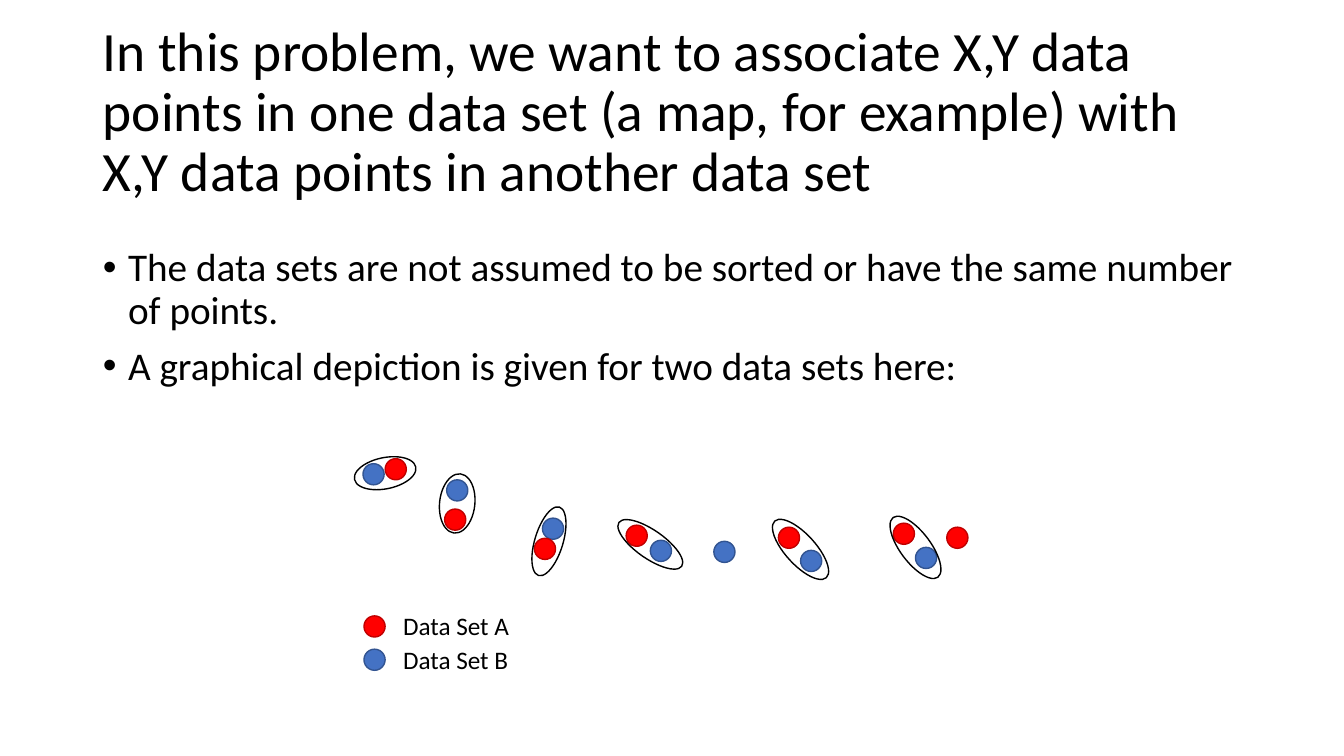
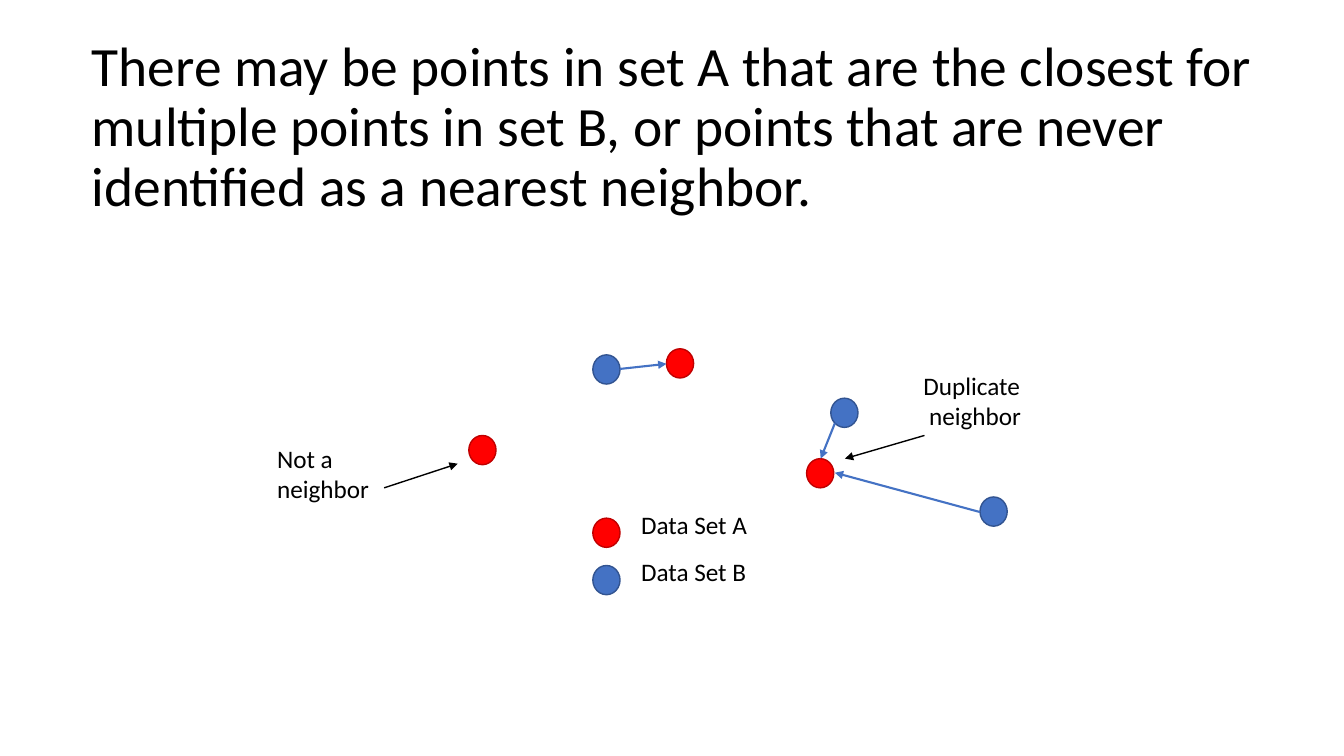
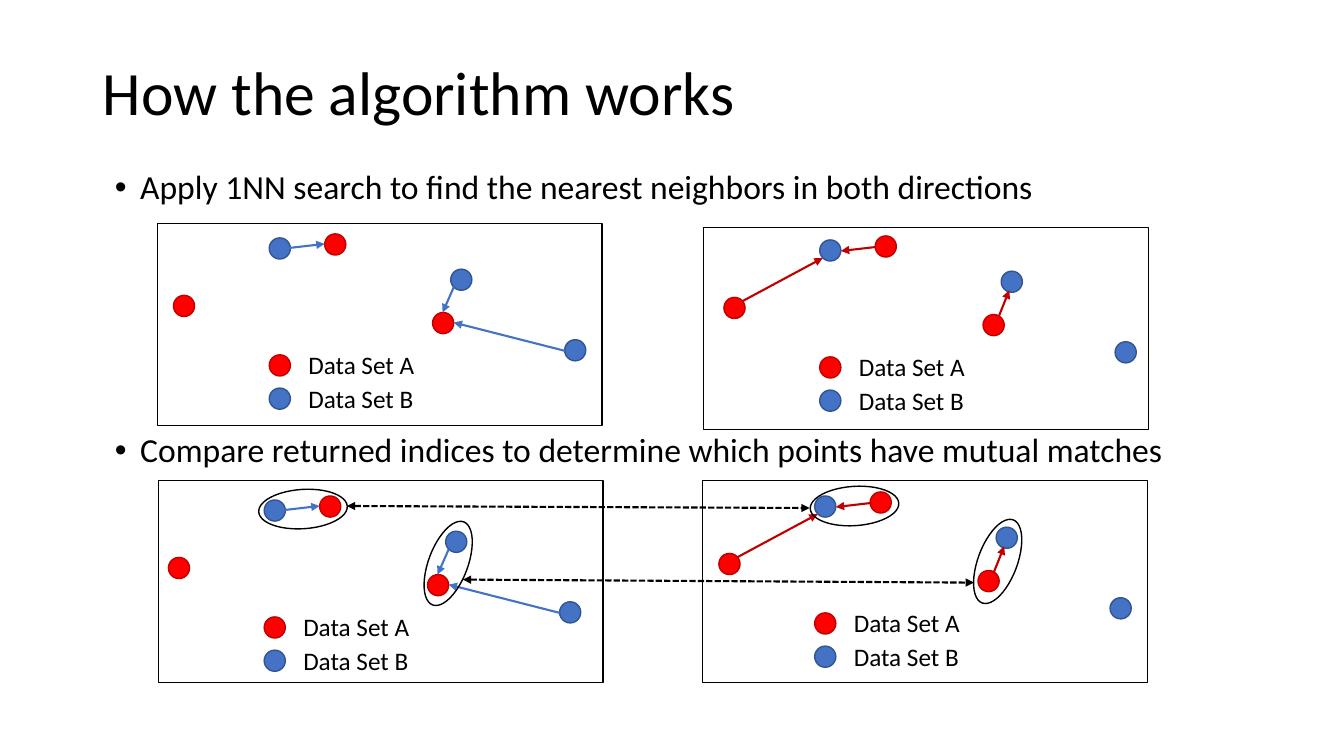
import pptx
import pptx.dml.color
import pptx.enum.dml
import pptx.enum.shapes
import pptx.enum.text
import pptx.oxml.ns
import pptx.oxml.xmlchemy
import pptx.util

RGB = pptx.dml.color.RGBColor
BLACK = RGB(0x00, 0x00, 0x00)
WHITE = RGB(0xFF, 0xFF, 0xFF)
RED = RGB(0xFF, 0x00, 0x00)
DARK_RED = RGB(0xC0, 0x00, 0x00)
BLUE = RGB(0x44, 0x72, 0xC4)
DARK_BLUE = RGB(0x32, 0x54, 0x91)

SHAPES = pptx.enum.shapes.MSO_SHAPE
PX = 9144  # EMU in a px, 100 px to the inch
SET_COLORS = {"A": (RED, DARK_RED), "B": (BLUE, DARK_BLUE)}


def emu(*lengths):
    return [pptx.util.Emu(length * PX) for length in lengths]


class Deck:
    """Holds the style and the slide being drawn."""

    font_name = "Calibri"
    text_size = 18

    def __init__(self):
        self.presentation = pptx.Presentation()
        self.presentation.slide_width, self.presentation.slide_height = emu(1333, 750)
        self.slide = None
        self.dot_size = (21, 21)

    def new_slide(self, title, box, size, has_body=False, dot_size=(21, 21)):
        layout = self.presentation.slide_layouts[1 if has_body else 5]
        self.slide = self.presentation.slides.add_slide(layout)
        self.dot_size = dot_size
        self.fill_placeholder(self.slide.shapes.title, box, [title], size)

    def style(self, paragraph, size):
        paragraph.font.name = self.font_name
        paragraph.font.size = pptx.util.Pt(size)
        paragraph.font.color.rgb = BLACK
        paragraph.alignment = pptx.enum.text.PP_ALIGN.LEFT

    def fill_placeholder(self, holder, box, lines, size):
        holder.left, holder.top, holder.width, holder.height = emu(*box)
        frame = holder.text_frame
        frame.text = "\n".join(lines)
        frame.auto_size = pptx.enum.text.MSO_AUTO_SIZE.NONE
        for paragraph in frame.paragraphs:
            self.style(paragraph, size)
            paragraph.line_spacing = 0.9
            paragraph.space_before = pptx.util.Pt(0)
        return frame.paragraphs

    def bullets(self, box, lines, size, margin, gap):
        body = self.slide.placeholders[1]
        for index, paragraph in enumerate(self.fill_placeholder(body, box, lines, size)):
            paragraph.space_before = pptx.util.Pt(gap if index else 0)
            left, indent = emu(margin, -25)
            properties = paragraph._p.get_or_add_pPr()
            properties.set("marL", str(left))
            properties.set("indent", str(indent))

    def text(self, left, top, width, height, words):
        frame = self.slide.shapes.add_textbox(*emu(left, top, width, height)).text_frame
        frame.word_wrap = True
        frame.text = words
        for paragraph in frame.paragraphs:
            self.style(paragraph, self.text_size)

    def shape(self, kind, box, fill, line, rotation=0):
        shape = self.slide.shapes.add_shape(kind, *emu(*box))
        shape.shadow.inherit = False
        shape.rotation = rotation
        if fill is None:
            shape.fill.background()
        else:
            shape.fill.solid()
            shape.fill.fore_color.rgb = fill
        shape.line.color.rgb = line
        shape.line.width = pptx.util.Pt(1)

    def dots(self, set_name, places, origin=(0, 0)):
        for x, y in places:
            box = (origin[0] + x, origin[1] + y, *self.dot_size)
            self.shape(SHAPES.OVAL, box, *SET_COLORS[set_name])

    def ring(self, box, rotation):
        """Outlines a pair of matched points."""
        self.shape(SHAPES.OVAL, box, None, BLACK, rotation)

    def arrow(self, start, end, color, width=1.5, two_way=False, origin=(0, 0)):
        x, y = origin
        connector = self.slide.shapes.add_connector(
            pptx.enum.shapes.MSO_CONNECTOR.STRAIGHT,
            *emu(x + start[0], y + start[1], x + end[0], y + end[1]))
        connector.line.color.rgb = color
        connector.line.width = pptx.util.Pt(width)
        if two_way:
            connector.line.dash_style = pptx.enum.dml.MSO_LINE.SQUARE_DOT
        qn = pptx.oxml.ns.qn
        properties = connector._element.spPr
        outline = properties.find(qn("a:ln"))
        for tag in ("a:headEnd", "a:tailEnd") if two_way else ("a:tailEnd",):
            outline.append(outline.makeelement(qn(tag), {"type": "triangle"}))
        properties.append(properties.makeelement(qn("a:effectLst"), {}))

    def legend(self, left, top, pitch=33, label_shift=(29, -10), label_size=(130, 40)):
        for row, set_name in enumerate(SET_COLORS):
            y = top + row * pitch
            self.dots(set_name, [(left, y)])
            self.text(left + label_shift[0], y + label_shift[1], *label_size,
                      f"Data Set {set_name}")

    def panel(self, frame, origin, arrows, color):
        """Draws the sample points in a frame, with the search arrows of one direction."""
        self.shape(SHAPES.RECTANGLE, (*frame, 441, 200), WHITE, BLACK)
        self.dots("B", [(111, 14), (291, 45), (404, 115)], origin)
        self.dots("A", [(273, 88), (166, 10), (16, 71)], origin)
        self.legend(origin[0] + 111, origin[1] + 130)
        for start, end in arrows:
            self.arrow(start, end, color, origin=origin)


def problem_slide(deck):
    deck.new_slide("In this problem, we want to associate X,Y data points in one data set "
                   "(a map, for example) with X,Y data points in another data set",
                   (92, 40, 1150, 145), 39.6, has_body=True)
    deck.bullets((92, 241, 1150, 243),
                 ["The data sets are not assumed to be sorted or have the same number of points.",
                  "A graphical depiction is given for two data sets here:"],
                 size=28, margin=25, gap=10)
    deck.dots("B", [(360, 460), (443, 476), (645, 536), (538, 514),
                    (794, 546), (908, 543), (708, 537)])
    deck.dots("A", [(886, 519), (772, 523), (621, 521), (530, 534),
                    (441, 505), (382, 455), (939, 523)])
    deck.legend(361, 611)
    for box, rotation in [((351, 454, 62, 31), 348.6), ((424, 482, 59, 35), 276.1),
                          ((509, 523, 71, 28), 286.9), ((607, 526, 76, 28), 214.9),
                          ((756, 530, 76, 30), 227.7), ((871, 528, 74, 30), 233.1)]:
        deck.ring(box, rotation)


def neighbor_slide(deck):
    deck.new_slide("There may be points in set A that are the closest for multiple points "
                   "in set B, or points that are never identified as a nearest neighbor.",
                   (81, 55, 1203, 145), 39.6, dot_size=(27, 29))
    deck.dots("B", [(588, 352), (824, 395), (972, 493)])
    deck.dots("A", [(800, 455), (661, 346), (465, 432)])
    deck.legend(588, 514, pitch=47, label_shift=(38, -14), label_size=(165, 56))
    for start, end in [((972, 508), (828, 469)), ((828, 420), (814, 455)),
                       ((615, 366), (661, 361))]:
        deck.arrow(start, end, BLUE)
    deck.text(265, 435, 162, 99, "Not a\nneighbor")
    deck.arrow((381, 484), (454, 460), BLACK, width=1)
    deck.text(906, 362, 162, 99, "Duplicate\n neighbor")
    deck.arrow((917, 432), (838, 455), BLACK, width=1)


def algorithm_slide(deck):
    deck.new_slide("How the algorithm works", (92, 22, 1150, 145), 44, has_body=True)
    deck.bullets((54, 164, 1150, 463),
                 ["Apply 1NN search to find the nearest neighbors in both directions",
                  "Compare returned indices to determine which points have mutual matches"],
                 size=24, margin=75, gap=162)
    b_to_a = [((404, 126), (294, 98)), ((294, 63), (283, 88)), ((131, 24), (166, 20))]
    a_to_b = [((289, 89), (299, 64)), ((167, 21), (132, 25)), ((34, 75), (114, 32))]
    deck.panel((156, 222), (156, 222), b_to_a, BLUE)
    deck.panel((698, 226), (702, 224), a_to_b, DARK_RED)
    deck.panel((157, 477), (151, 482), b_to_a, BLUE)
    deck.panel((697, 477), (697, 478), a_to_b, DARK_RED)
    for left, top, rotation in [(970, 513, 20.5), (425, 515, 20.5),
                                (281, 461, 86.3), (828, 458, 86.3)]:
        deck.ring((left, top, 39, 88), rotation)
    deck.arrow((344, 502), (803, 504), BLACK, two_way=True)
    deck.arrow((459, 575), (966, 578), BLACK, two_way=True)


def main():
    deck = Deck()
    problem_slide(deck)
    neighbor_slide(deck)
    algorithm_slide(deck)
    deck.presentation.save("out.pptx")


if __name__ == "__main__":
    main()
